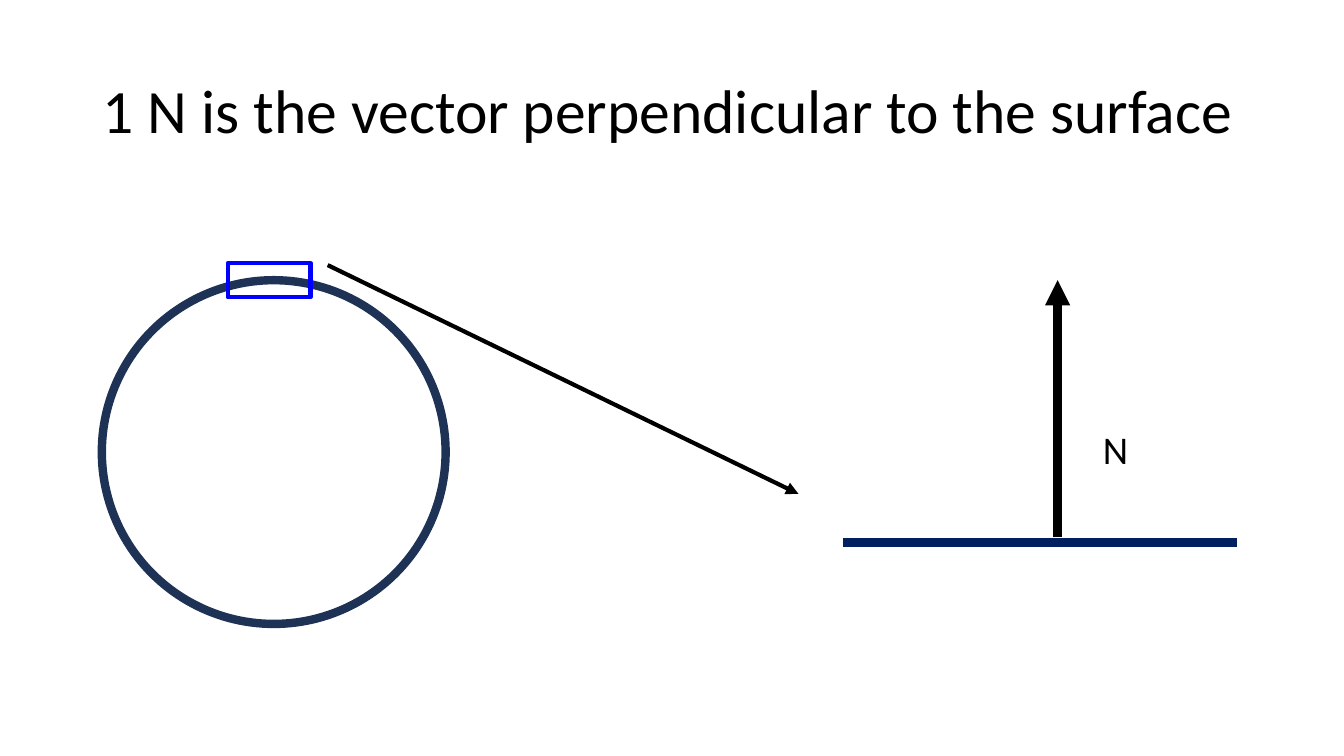
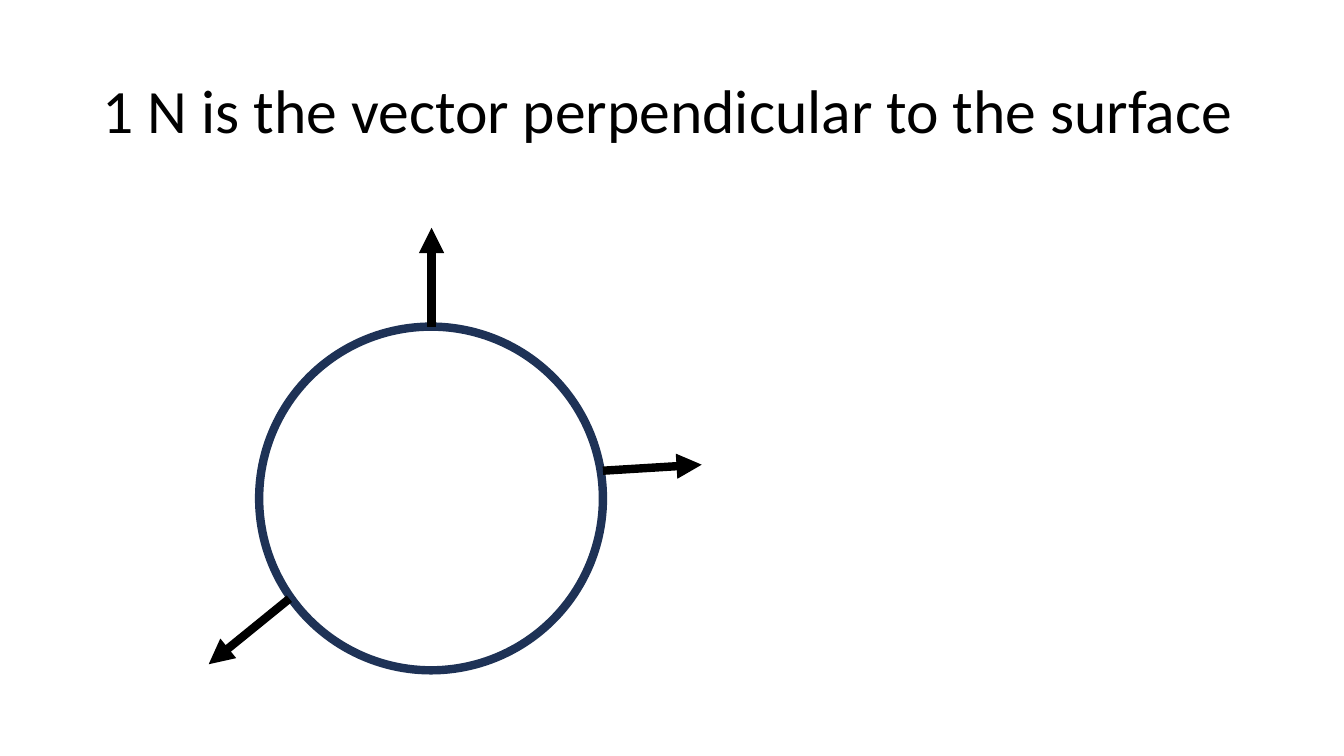
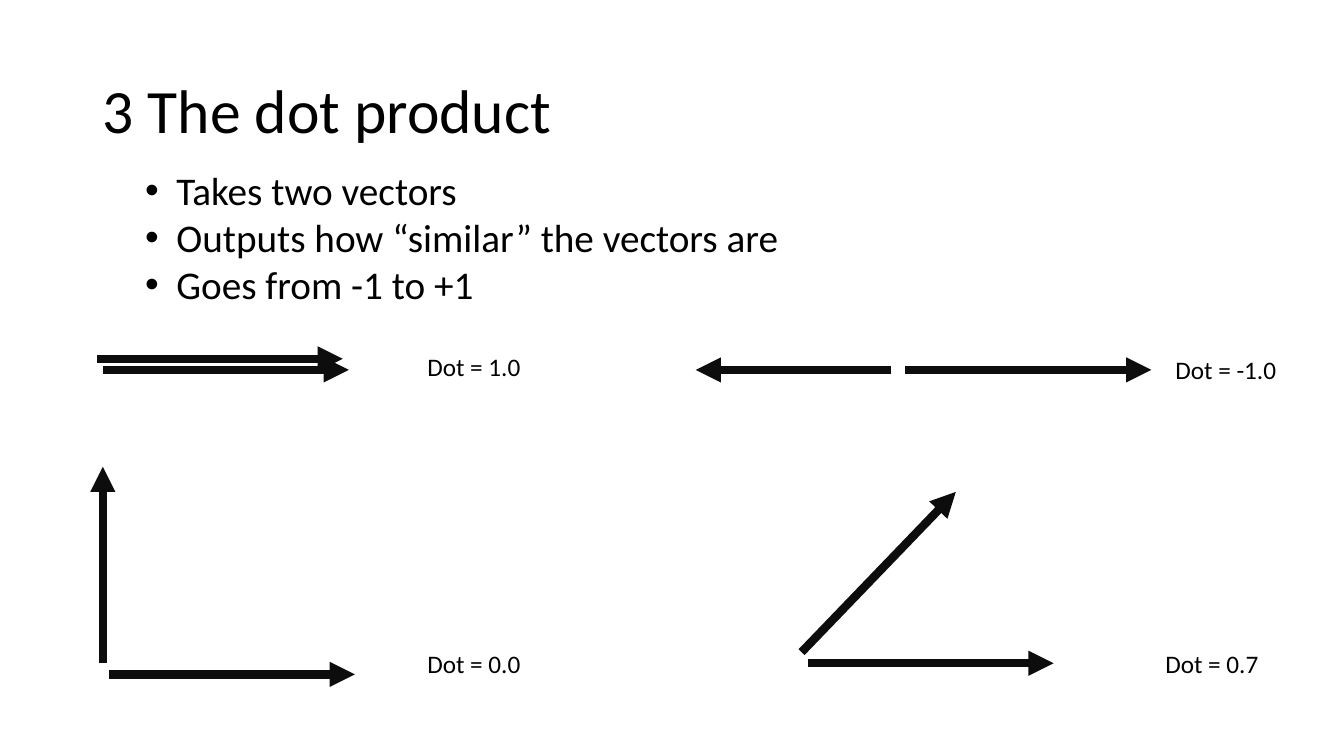
"""Three slides on surface normals and the dot product."""
from lxml import etree
from pptx import Presentation
from pptx import util as u
from pptx.dml.color import RGBColor
from pptx.enum import shapes, text
from pptx.oxml.ns import qn

INK = {"black": "000000", "soft": "0D0D0D", "ring": "1E3256",
       "floor": "002060", "frame": "0000FF"}
FONT = "Calibri"


def write(para, words, size):
    run = para.add_run()
    run.text = words
    run.font.name = FONT
    run.font.size = u.Pt(size)
    run.font.color.rgb = RGBColor.from_string(INK["black"])
    para.alignment = text.PP_ALIGN.LEFT


def draw(slide, ends, ink, width=6, head=True):
    line = slide.shapes.add_connector(
        shapes.MSO_CONNECTOR.STRAIGHT, *[u.Inches(v) for v in ends])
    line.line.color.rgb = RGBColor.from_string(INK[ink])
    line.line.width = u.Pt(width)
    if head:
        etree.SubElement(line.line._get_or_add_ln(), qn("a:tailEnd"), type="triangle")
    etree.SubElement(line._element.spPr, qn("a:effectLst"))


deck = Presentation()
deck.slide_width = u.Inches(13.33)
deck.slide_height = u.Inches(7.5)

NORMAL = "1 N is the vector perpendicular to the surface"
slides = []
for words, layout in [(NORMAL, 5), (NORMAL, 5), ("3 The dot product", 1)]:
    slide = deck.slides.add_slide(deck.slide_layouts[layout])
    title = slide.shapes.title
    title.left, title.top = u.Inches(0.92), u.Inches(0.4)
    title.width, title.height = u.Inches(11.5), u.Inches(1.45)
    title.text_frame.vertical_anchor = text.MSO_ANCHOR.MIDDLE
    title.text_frame.auto_size = text.MSO_AUTO_SIZE.NONE
    para = title.text_frame.paragraphs[0]
    para.line_spacing = 0.9
    write(para, words, 44)
    slides.append(slide)
zoom, ball, dot = slides

OVAL = shapes.MSO_SHAPE.OVAL
RECT = shapes.MSO_SHAPE.RECTANGLE
for slide, kind, box, ink, width in [
        (zoom, OVAL, (1.01, 2.78, 3.41, 3.41), "ring", 6),
        (zoom, RECT, (2.26, 2.61, 0.82, 0.34), "frame", 3),
        (ball, OVAL, (2.57, 3.24, 3.41, 3.41), "ring", 6)]:
    shape = slide.shapes.add_shape(kind, *[u.Inches(v) for v in box])
    shape.shadow.inherit = False
    shape.fill.background()
    shape.line.color.rgb = RGBColor.from_string(INK[ink])
    shape.line.width = u.Pt(width)

draw(zoom, (8.36, 5.38, 12.27, 5.38), "floor", head=False)
draw(zoom, (3.25, 2.63, 7.92, 4.9), "black", width=3)
draw(zoom, (10.49, 5.33, 10.49, 2.78), "black")

for ends in [(4.28, 3.24, 4.28, 2.26),
             (5.98, 4.67, 6.96, 4.61),
             (2.87, 5.94, 2.07, 6.59)]:
    draw(ball, ends, "black")

body = dot.placeholders[1]
body.left, body.top = u.Inches(1.34), u.Inches(1.6)
body.width, body.height = u.Inches(6.55), u.Inches(1.51)
frame = body.text_frame
frame.auto_size = text.MSO_AUTO_SIZE.NONE
frame.word_wrap = False
for i, words in enumerate(["Takes two vectors",
                           "Outputs how “similar” the vectors are",
                           "Goes from -1 to +1"]):
    para = frame.add_paragraph() if i else frame.paragraphs[0]
    props = para._p.get_or_add_pPr()
    props.set("marL", str(u.Inches(0.31)))
    props.set("indent", str(u.Inches(-0.31)))
    etree.SubElement(props, qn("a:buFont"), typeface="Arial")
    etree.SubElement(props, qn("a:buChar"), char="•")
    para.space_before = u.Pt(0)
    write(para, words, 28)

REACH = 2.44
for x, y in [(0.96, 3.56), (1.02, 3.67), (8.98, 3.67), (1.08, 6.69), (8.01, 6.58)]:
    draw(dot, (x, y, x + REACH, y), "soft")
for ends in [(8.84, 3.67, 6.9, 3.67),
             (1.02, 6.58, 1.02, 4.63),
             (7.95, 6.47, 9.48, 4.88)]:
    draw(dot, ends, "soft")

for slide, words, size, box in [
        (zoom, "N", 28, (10.84, 4.17, 0.46, 0.57)),
        (dot, "Dot = 1.0", 18, (4.14, 3.44, 1.14, 0.4)),
        (dot, "Dot = 0.0", 18, (4.14, 6.38, 1.14, 0.4)),
        (dot, "Dot = -1.0", 18, (11.56, 3.47, 1.21, 0.4)),
        (dot, "Dot = 0.7", 18, (11.46, 6.38, 1.14, 0.4))]:
    label = slide.shapes.add_textbox(*[u.Inches(v) for v in box])
    label.text_frame.word_wrap = False
    label.text_frame.auto_size = text.MSO_AUTO_SIZE.SHAPE_TO_FIT_TEXT
    write(label.text_frame.paragraphs[0], words, size)

deck.save("out.pptx")
